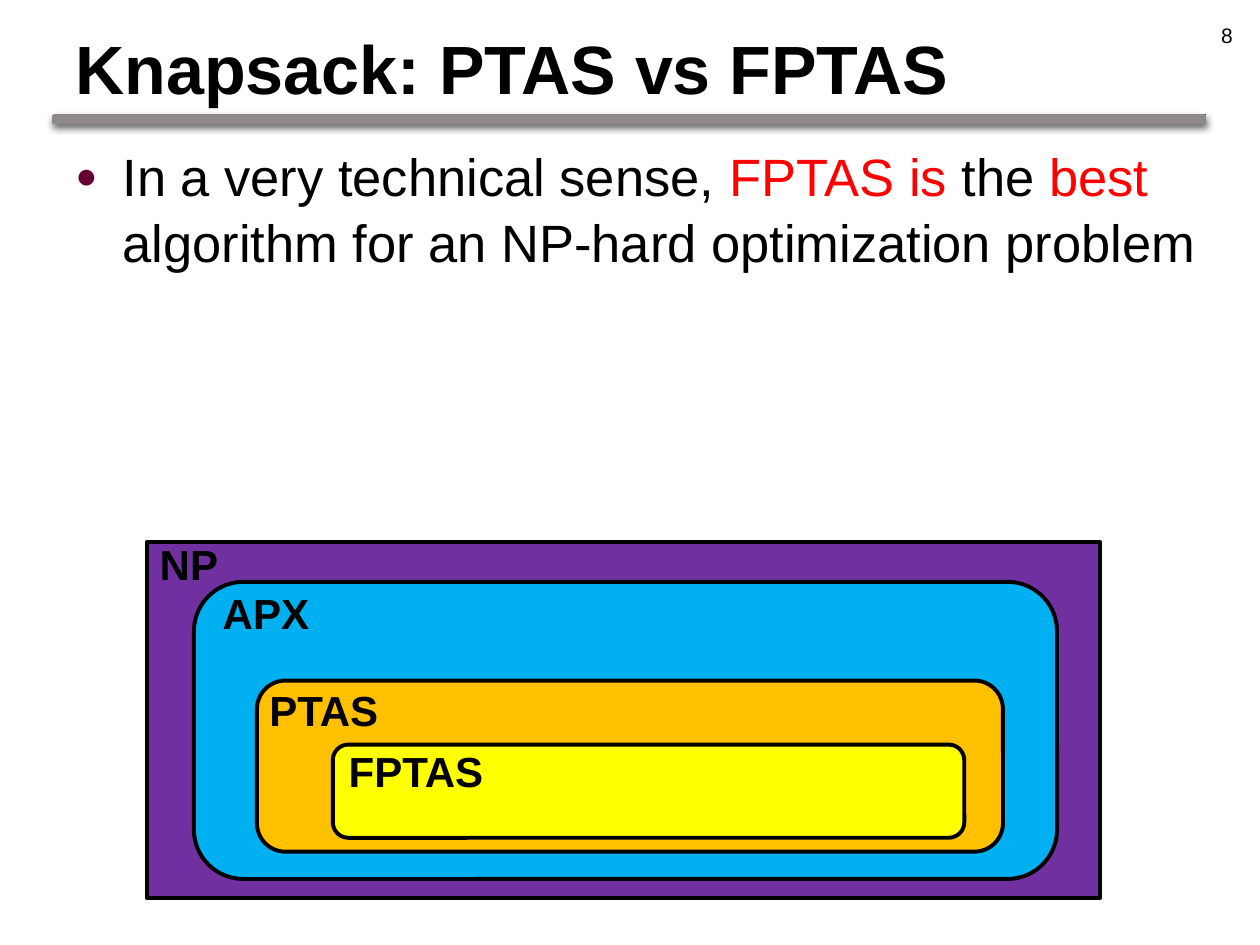
"""Build the slide that compares PTAS with FPTAS as nested classes."""
from dataclasses import dataclass

from lxml import etree
from pptx import Presentation
from pptx.dml import color
from pptx.enum import shapes, text
from pptx.oxml import ns
from pptx.util import Cm, Pt


@dataclass(frozen=True)
class Theme:
    font: str = "Arial"
    ink: str = "000000"
    red: str = "FF0000"
    bar: str = "8F8989"
    shade: str = "606060"
    dot: str = "660033"
    title: int = 39
    body: int = 30
    label: int = 24
    page: int = 12
    edge: float = 2.25


THEME = Theme()
RECT = shapes.MSO_SHAPE.RECTANGLE
ROUND = shapes.MSO_SHAPE.ROUNDED_RECTANGLE
CLASSES = [
    ("NP", RECT, "7030A0", (2.97, 10.92, 19.2, 7.19), (2.97, 10.74)),
    ("APX", ROUND, "00B0F0", (3.91, 11.73, 17.4, 5.99), (4.24, 11.71)),
    ("PTAS", ROUND, "FFC000", (5.18, 13.72, 15.04, 3.45), (5.18, 13.67)),
    ("FPTAS", ROUND, "FFFF00", (6.71, 15.01, 12.73, 1.88), (6.78, 14.91)),
]


def rgb(code):
    """Turn a hex code into a colour."""
    return color.RGBColor.from_string(code)


def node(parent, tag, **attrs):
    """Add a DrawingML element."""
    return etree.SubElement(parent, ns.qn(f"a:{tag}"), attrs)


def add_box(slide, kind, area, fill, line, width):
    """Add a filled and outlined shape."""
    box = slide.shapes.add_shape(kind, *map(Cm, area))
    box.shadow.inherit = False
    box.fill.solid()
    box.fill.fore_color.rgb = rgb(fill)
    box.line.color.rgb = rgb(line)
    box.line.width = Pt(width)
    return box


def add_text(slide, area, parts, size, bold=False, align=None, anchor=None):
    """Add one paragraph of coloured parts and return it."""
    frame = slide.shapes.add_textbox(*map(Cm, area)).text_frame
    frame.word_wrap = True
    frame.vertical_anchor = anchor or text.MSO_ANCHOR.TOP
    para = frame.paragraphs[0]
    para.alignment = align or text.PP_ALIGN.LEFT
    para.font.name = THEME.font
    para.font.size = Pt(size)
    para.font.bold = bold
    for words, tint in parts:
        run = para.add_run()
        run.text = words
        run.font.color.rgb = rgb(tint)
    return para


def add_dot(para):
    """Give a paragraph a hanging bullet."""
    props = para._p.get_or_add_pPr()
    indent = Cm(0.95)
    props.set("marL", str(indent))
    props.set("indent", str(-indent))
    last = props.find(ns.qn("a:defRPr"))
    props.remove(last)
    node(node(props, "buClr"), "srgbClr", val=THEME.dot)
    node(props, "buSzPct", val="70000")
    node(props, "buFont", typeface=THEME.font)
    node(props, "buChar", char="●")
    props.append(last)


def add_rule(slide):
    """Add the shadowed bar and thin line under the title."""
    line = slide.shapes.add_connector(
        shapes.MSO_CONNECTOR.STRAIGHT, Cm(1.09), Cm(2.31), Cm(24.31), Cm(2.31))
    line.line.color.rgb = rgb(THEME.ink)
    line.line.width = Pt(0.75)
    node(line._element.spPr, "effectLst")
    bar = add_box(slide, RECT, (1.09, 2.34, 23.19, 0.13), THEME.bar, THEME.bar, 2)
    effects = bar._element.spPr.find(ns.qn("a:effectLst"))
    shadow = node(effects, "outerShdw", blurRad=str(Pt(4)), dist=str(Pt(2)),
                  dir="5400000", rotWithShape="0")
    node(shadow, "srgbClr", val=THEME.shade)


def main():
    """Build and save the slide."""
    deck = Presentation()
    deck.slide_width, deck.slide_height = Cm(25.4), Cm(19.05)
    slide = deck.slides.add_slide(deck.slide_layouts[6])
    ink, red = THEME.ink, THEME.red
    add_rule(slide)
    add_text(slide, (1.27, 0.33, 22.86, 1.98), [("Knapsack: PTAS vs FPTAS", ink)],
             THEME.title, bold=True, anchor=text.MSO_ANCHOR.BOTTOM)
    body = add_text(slide, (1.27, 2.72, 23.42, 15.8), [
        ("In a very technical sense, ", ink),
        ("FPTAS is", red),
        (" the ", ink),
        ("best", red),
        (" algorithm for an NP-hard optimization problem", ink),
    ], THEME.body)
    body.line_spacing = 1.05
    add_dot(body)
    add_text(slide, (19.18, 0.33, 5.92, 0.71), [("8", ink)], THEME.page,
             align=text.PP_ALIGN.RIGHT)
    for _, kind, fill, area, _ in CLASSES:
        add_box(slide, kind, area, fill, ink, THEME.edge)
    for name, _, _, _, spot in CLASSES:
        add_text(slide, (*spot, 3.51, 1.27), [(name, ink)], THEME.label, bold=True)
    deck.save("out.pptx")


if __name__ == "__main__":
    main()
